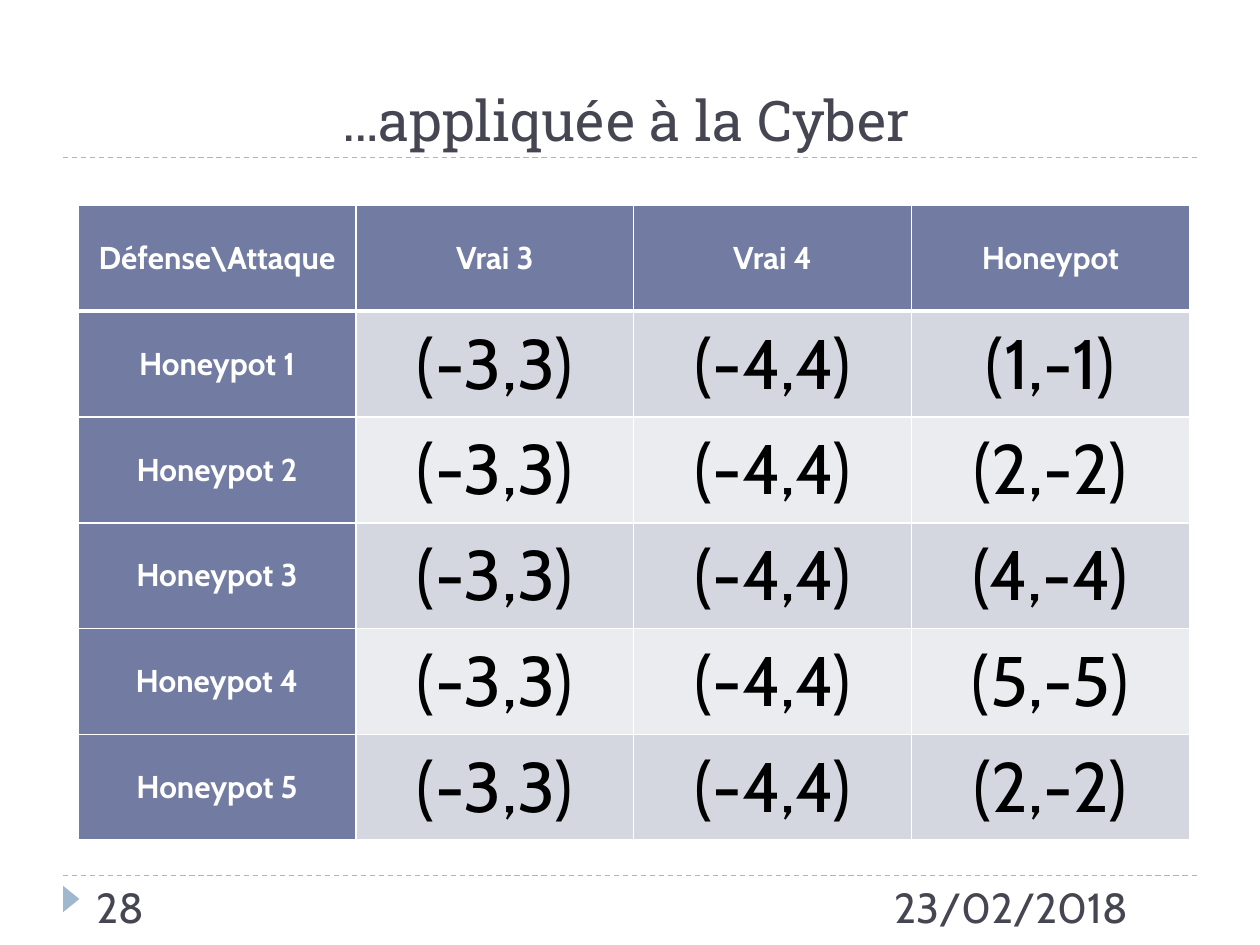
from lxml import etree
from pptx import Presentation
from pptx.dml.color import RGBColor
from pptx.enum.dml import MSO_LINE
from pptx.enum.shapes import MSO_CONNECTOR, MSO_SHAPE
from pptx.enum.text import MSO_ANCHOR, PP_ALIGN
from pptx.oxml.ns import qn
from pptx.util import Inches, Pt

CENTER = PP_ALIGN.CENTER
MIDDLE, BOTTOM, TOP = MSO_ANCHOR.MIDDLE, MSO_ANCHOR.BOTTOM, MSO_ANCHOR.TOP

TITLE = "…appliquée à la Cyber"
HEADER = ["Défense\\Attaque", "Vrai 3", "Vrai 4", "Honeypot"]
HONEYPOT_PAYOFFS = ["(1,-1)", "(2,-2)", "(4,-4)", "(5,-5)", "(2,-2)"]
ROWS = [HEADER] + [
    [f"Honeypot {number}", "(-3,3)", "(-4,4)", payoff]
    for number, payoff in enumerate(HONEYPOT_PAYOFFS, start=1)
]
FOOTERS = [("23/02/2018", 7, 2.5), ("28", 0.67, 2.17)]  # text, left, width

COLORS = {
    "ink": "464653", "rule": "9FB8CD", "head": "727CA3", "white": "FFFFFF",
    "odd": "D5D7E0", "even": "EBECF0", "black": "000000",
}
WIDTH, HEIGHT = 10, 7.5
MARGIN = 0.05 * WIDTH
RULES = [1.25, 6.95]
TABLE_LEFT, TABLE_TOP = 0.62, 1.63
COLUMN_WIDTH, ROW_HEIGHT = 2.205, 0.84


def color(name):
    return RGBColor.from_string(COLORS[name])


def write(frame, text, size, ink, font="Cabin", align=None, anchor=TOP, bold=False):
    frame.word_wrap = True
    frame.vertical_anchor = anchor
    para = frame.paragraphs[0]
    para.text = text
    para.alignment = align
    para.font.size = Pt(size)
    para.font.name = font
    para.font.bold = bold
    para.font.color.rgb = color(ink)


def add_rule(page, top):
    rule = page.shapes.add_connector(
        MSO_CONNECTOR.STRAIGHT, Inches(MARGIN), Inches(top),
        Inches(WIDTH - MARGIN), Inches(top))
    rule.line.color.rgb = color("rule")
    rule.line.width = Pt(0.75)
    rule.line.dash_style = MSO_LINE.DASH
    etree.SubElement(rule._element.spPr, qn("a:effectLst"))


def add_borders(cell, top, bottom):
    properties = cell._tc.get_or_add_tcPr()
    for side, points in (("L", 1), ("R", 1), ("T", top), ("B", bottom)):
        line = etree.SubElement(properties, qn(f"a:ln{side}"), w=str(Pt(points)))
        fill = etree.SubElement(line, qn("a:solidFill"))
        etree.SubElement(fill, qn("a:srgbClr"), val=COLORS["white"])


def add_payoff_table(page):
    columns, rows = len(HEADER), len(ROWS)
    table = page.shapes.add_table(
        rows, columns, Inches(TABLE_LEFT), Inches(TABLE_TOP),
        Inches(columns * COLUMN_WIDTH), Inches(rows * ROW_HEIGHT)).table
    for r, texts in enumerate(ROWS):
        for c, text in enumerate(texts):
            cell = table.cell(r, c)
            is_head = r == 0 or c == 0
            add_borders(cell, top=3 if r == 1 else 1, bottom=3 if r == 0 else 1)
            cell.fill.solid()
            cell.fill.fore_color.rgb = color(
                "head" if is_head else "odd" if r % 2 else "even")
            write(cell.text_frame, text, 18 if is_head else 40,
                  "white" if is_head else "black", align=CENTER, bold=is_head)
            cell.vertical_anchor = MIDDLE


def main():
    deck = Presentation()
    deck.slide_width, deck.slide_height = Inches(WIDTH), Inches(HEIGHT)
    page = deck.slides.add_slide(deck.slide_layouts[5])

    for top in RULES:
        add_rule(page, top)

    marker = page.shapes.add_shape(
        MSO_SHAPE.ISOSCELES_TRIANGLE,
        Inches(0.46), Inches(7.07), Inches(0.21), Inches(0.13))
    marker.rotation = 90
    marker.shadow.inherit = False
    marker.fill.solid()
    marker.fill.fore_color.rgb = color("rule")
    marker.line.fill.background()

    title = page.shapes.title
    title.left, title.top = Inches(0.47), Inches(0.18)
    title.width, title.height = Inches(9), Inches(1.08)
    write(title.text_frame, TITLE, 32, "ink", "Roboto Slab", CENTER, BOTTOM)

    for text, left, width in FOOTERS:
        box = page.shapes.add_textbox(
            Inches(left), Inches(RULES[-1]), Inches(width), Inches(0.4))
        write(box.text_frame, text, 24, "ink")

    add_payoff_table(page)
    deck.save("out.pptx")


if __name__ == "__main__":
    main()
